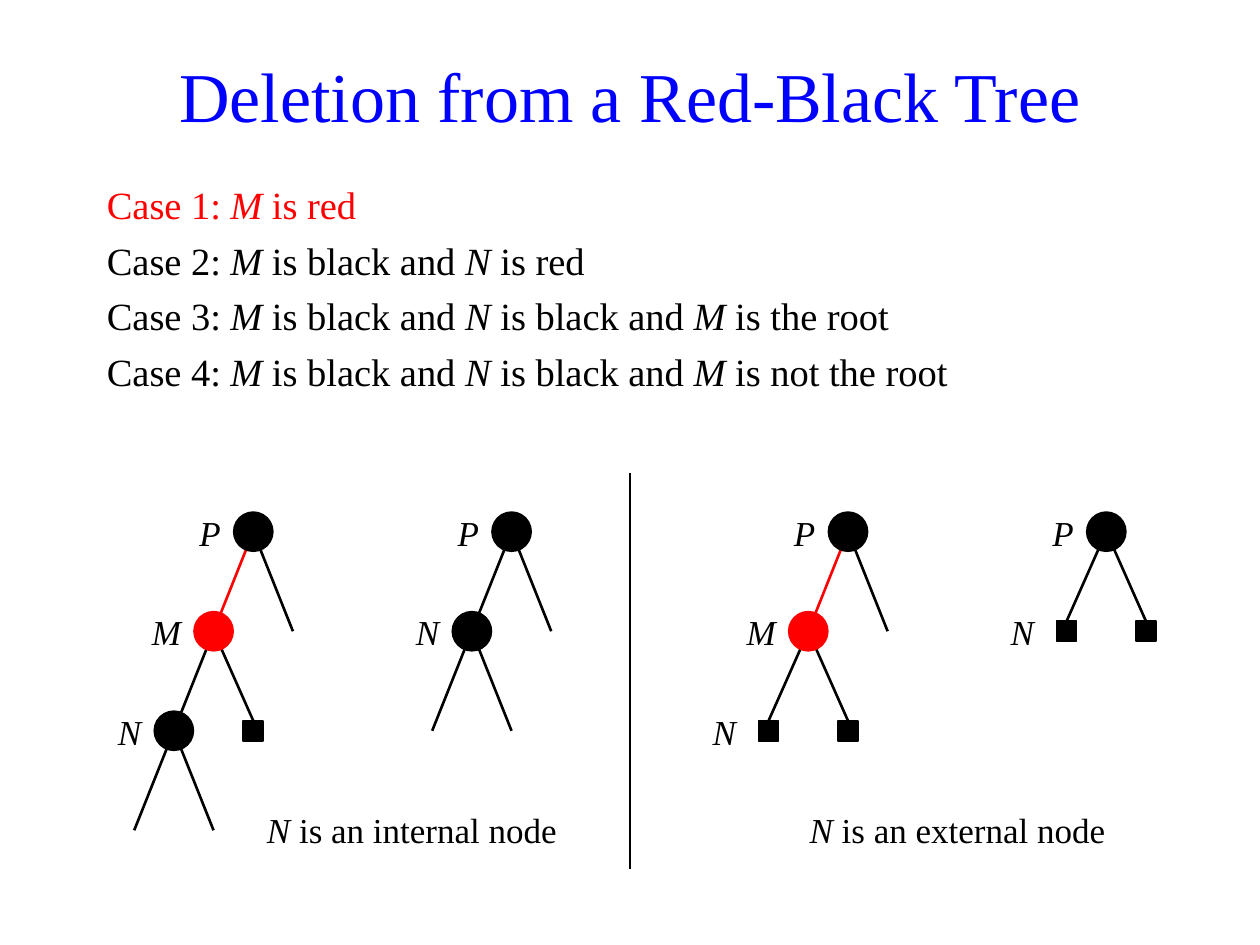
from dataclasses import dataclass
from lxml import etree
from pptx import Presentation
from pptx import util as u
from pptx.dml.color import RGBColor
from pptx.enum import shapes, text
from pptx.oxml import ns

Inches, Pt = u.Inches, u.Pt


@dataclass(frozen=True)
class Theme:
    font: str = "Times New Roman"
    blue: RGBColor = RGBColor(0, 0, 255)
    red: RGBColor = RGBColor(255, 0, 0)
    black: RGBColor = RGBColor(0, 0, 0)
    title: int = 40
    body: int = 22
    label: int = 20


T = Theme()
prs = Presentation()
prs.slide_width, prs.slide_height = Inches(10), Inches(7.5)
s = prs.slides.add_slide(prs.slide_layouts[6])


def add_text(x, y, w, h, lines, size, align, color=T.black,
             anchor=text.MSO_ANCHOR.MIDDLE):
    """Add one paragraph per line; parts between asterisks are italic."""
    tf = s.shapes.add_textbox(Inches(x), Inches(y), Inches(w), Inches(h)).text_frame
    tf.word_wrap = True
    tf.vertical_anchor = anchor
    for i, line in enumerate(lines):
        p = tf.add_paragraph() if i else tf.paragraphs[0]
        p.alignment = align
        p.font.name, p.font.size, p.font.color.rgb = T.font, Pt(size), color
        for j, part in enumerate(line.split("*")):
            if part:
                r = p.add_run()
                r.text = part
                r.font.name, r.font.size, r.font.color.rgb = T.font, Pt(size), color
                r.font.italic = j % 2 == 1
    return tf


def add_line(x1, y1, x2, y2, color=T.black):
    c = s.shapes.add_connector(shapes.MSO_CONNECTOR.STRAIGHT,
                               Inches(x1), Inches(y1), Inches(x2), Inches(y2))
    c.line.color.rgb, c.line.width = color, Pt(1.5)
    etree.SubElement(c._element.spPr, ns.qn("a:effectLst"))


# Title
add_text(0.43, 0.28, 9.14, 0.94, ["Deletion from a Red-Black Tree"],
         T.title, text.PP_ALIGN.CENTER, T.blue)

# List of cases, the current one in red
cases = ["Case 1:\t*M* is red",
         "Case 2:\t*M* is black and *N* is red",
         "Case 3:\t*M* is black and *N* is black and *M* is the root",
         "Case 4:\t*M* is black and *N* is black and *M* is not the root"]
tf = add_text(0.75, 1.39, 8.5, 1.89, cases, T.body, text.PP_ALIGN.LEFT,
              anchor=text.MSO_ANCHOR.TOP)
for p in tf.paragraphs:
    p.space_before = Pt(5.3)
    pPr = p._p.get_or_add_pPr()
    pPr.set("marL", str(Inches(0.98)))
    pPr.set("indent", str(-Inches(0.98)))
for r in tf.paragraphs[0].runs:
    r.font.color.rgb = T.red

# Trees: root x, then nodes as (parent column, column, level, kind, label)
HALF, LEVEL, ROOT_Y = 0.63 / 2, 0.79, 4.22
SIZE = {"black": 0.31, "red": 0.31, "external": 0.16}
ROOT = (None, 0, 0, "black", "P")
trees = [
    (2.01, [ROOT, (0, -1, 1, "red", "M"), (0, 1, 1, "open", ""),
            (-1, -2, 2, "black", "N"), (-1, 0, 2, "external", ""),
            (-2, -3, 3, "open", ""), (-2, -1, 3, "open", "")]),
    (4.06, [ROOT, (0, -1, 1, "black", "N"), (0, 1, 1, "open", ""),
            (-1, -2, 2, "open", ""), (-1, 0, 2, "open", "")]),
    (6.73, [ROOT, (0, -1, 1, "red", "M"), (0, 1, 1, "open", ""),
            (-1, -2, 2, "external", "N"), (-1, 0, 2, "external", "")]),
    (8.78, [ROOT, (0, -1, 1, "external", "N"), (0, 1, 1, "external", "")]),
]
for root_x, nodes in trees:
    # Edges lie behind the nodes; those to external nodes stop at the top side
    for parent, col, level, kind, label in nodes:
        if parent is not None:
            y = ROOT_Y + level * LEVEL
            add_line(root_x + parent * HALF, y - LEVEL, root_x + col * HALF,
                     y - 0.08 if kind == "external" else y,
                     T.red if kind == "red" else T.black)
    for parent, col, level, kind, label in nodes:
        x, y = root_x + col * HALF, ROOT_Y + level * LEVEL
        if kind != "open":
            d = SIZE[kind]
            shape = (shapes.MSO_SHAPE.RECTANGLE if kind == "external"
                     else shapes.MSO_SHAPE.OVAL)
            sp = s.shapes.add_shape(shape, Inches(x - d / 2), Inches(y - d / 2),
                                    Inches(d), Inches(d))
            sp.shadow.inherit = False
            sp.fill.solid()
            sp.fill.fore_color.rgb = T.red if kind == "red" else T.black
            sp.line.color.rgb = sp.fill.fore_color.rgb
            sp.line.width = Pt(1)
        if label:
            add_text(x - 0.63, y - 0.31, 0.47, 0.63, [f"*{label}*"],
                     T.label, text.PP_ALIGN.RIGHT)

# Captions and divider
for x, w, kind in [(2.01, 2.52, "internal"), (6.26, 2.68, "external")]:
    add_text(x, 6.27, w, 0.63, [f"*N* is an {kind} node"], T.label, text.PP_ALIGN.CENTER)
add_line(5, 3.75, 5, 6.9)

prs.save("out.pptx")
